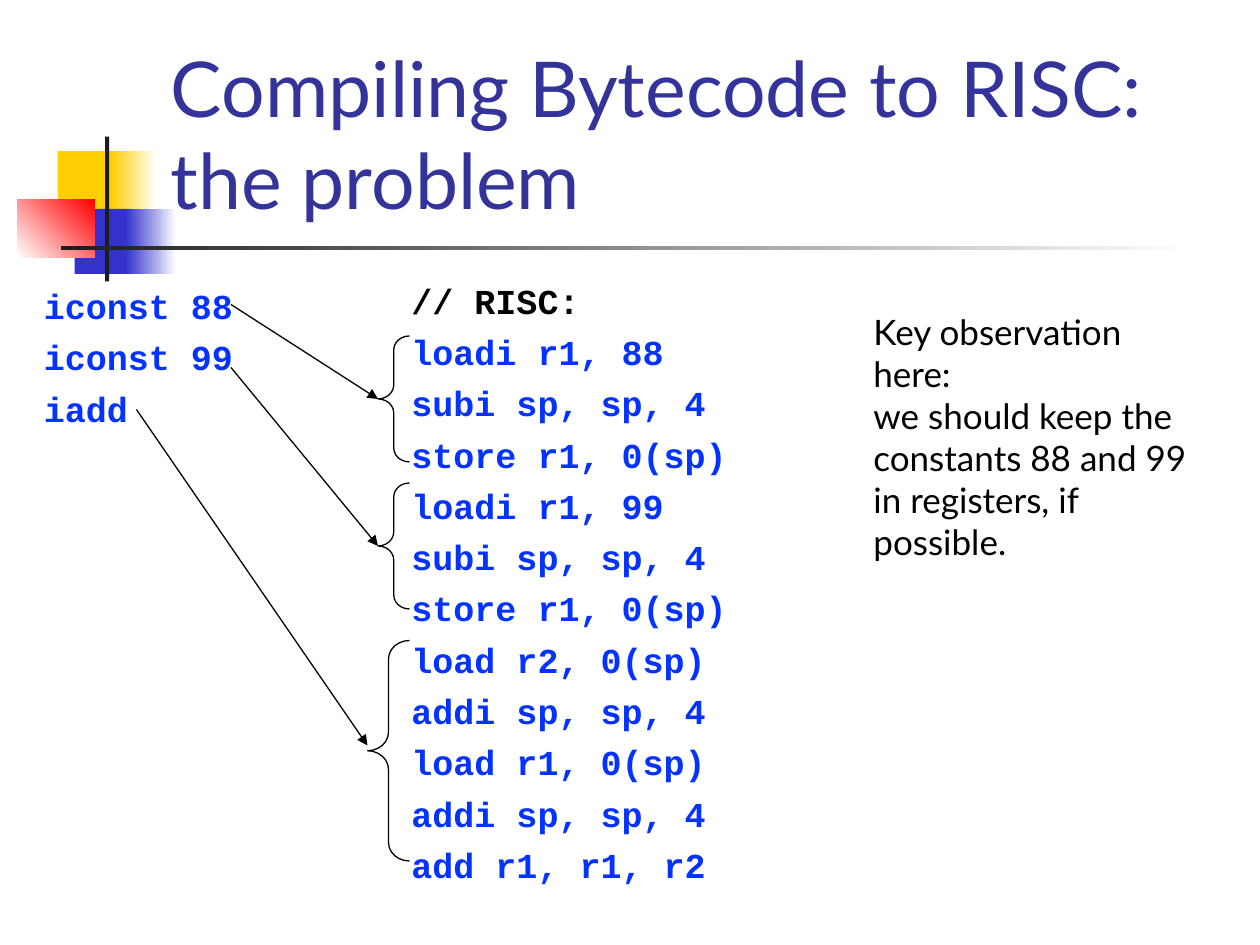
import pptx
import pptx.util
import pptx.dml.color
import pptx.enum.shapes
import pptx.enum.text
import pptx.oxml.ns
import lxml.etree
from dataclasses import dataclass

WIDE, HIGH = pptx.util.Inches(10), pptx.util.Inches(7.5)
COLS, ROWS = 120, 90  # grid cells of 1/12 inch
BLACK, BLUE, NAVY, DARK = "000000", "0432FF", "333399", "1C1C1C"
GOLD, ROYAL, RED, WHITE = "FFCF01", "3333CC", "FF0000", "FFFFFF"
KINDS = pptx.enum.shapes.MSO_SHAPE


@dataclass
class Box:
    col: float
    row: float
    cols: float
    rows: float

    def place(self) -> tuple:
        return across(self.col), down(self.row), across(self.cols), down(self.rows)


@dataclass
class Bar:
    box: Box
    start: str
    end: str = ""  # a second colour makes a gradient
    angle: float = 0


@dataclass
class Link:
    col: float
    row: float
    brace: Box  # the arrow ends at the left edge of the brace
    end: float
    bend: float = 0.44


def across(cols: float) -> int:
    return round(WIDE * cols / COLS)


def down(rows: float) -> int:
    return round(HIGH * rows / ROWS)


def tint(code: str) -> pptx.dml.color.RGBColor:
    return pptx.dml.color.RGBColor.from_string(code)


def draw_bar(slide, bar: Bar) -> None:
    shape = slide.shapes.add_shape(KINDS.RECTANGLE, *bar.box.place())
    shape.shadow.inherit = False
    shape.line.fill.background()
    if bar.end:
        shape.fill.gradient()
        shape.fill.gradient_angle = bar.angle
        for stop, code in zip(shape.fill.gradient_stops, (bar.start, bar.end)):
            stop.color.rgb = tint(code)
    else:
        shape.fill.solid()
        shape.fill.fore_color.rgb = tint(bar.start)


def draw_text(slide, box: Box, lines: list[tuple[str, str]], font: str = "Lato",
              size: float = 20, code: bool = False, low: bool = False) -> None:
    frame = slide.shapes.add_textbox(*box.place()).text_frame
    frame.word_wrap = True
    if low:
        frame.vertical_anchor = pptx.enum.text.MSO_ANCHOR.BOTTOM
    for i, (text, color) in enumerate(lines):
        para = frame.add_paragraph() if i else frame.paragraphs[0]
        para.text = text
        para.font.name, para.font.size = font, pptx.util.Pt(size)
        para.font.bold = code
        para.font.color.rgb = tint(color)
        if code:
            para.space_before = pptx.util.Pt(5.3)
            props = para._p.get_or_add_pPr()
            props.set("marL", str(across(4.5)))
            props.set("indent", str(-across(4.5)))


def draw_code(slide, box: Box, lines: list[tuple[str, str]]) -> None:
    draw_text(slide, box, lines, font="Courier New", code=True)


def draw_link(slide, link: Link) -> None:
    brace = slide.shapes.add_shape(KINDS.LEFT_BRACE, *link.brace.place())
    brace.shadow.inherit = False
    brace.fill.background()
    brace.adjustments[0] = link.bend
    arrow = slide.shapes.add_connector(
        pptx.enum.shapes.MSO_CONNECTOR.STRAIGHT, across(link.col), down(link.row),
        across(link.brace.col), down(link.end))
    for item in (brace, arrow):
        item.line.color.rgb = tint(BLACK)
        item.line.width = pptx.util.Pt(0.75)
    name = pptx.oxml.ns.qn
    tip = lxml.etree.SubElement(arrow.line._get_or_add_ln(), name("a:tailEnd"))
    tip.set("type", "triangle")
    lxml.etree.SubElement(arrow._element.spPr, name("a:effectLst"))


BARS = [
    Bar(Box(5.5, 14.4, 5.8, 6.2), GOLD),
    Bar(Box(10.6, 14.4, 4.3, 6.2), GOLD, WHITE),
    Bar(Box(7.1, 19.9, 5.5, 6.2), ROYAL),
    Bar(Box(12, 19.9, 4.8, 6.2), ROYAL, WHITE),
    Bar(Box(1.65, 19, 7.35, 5.5), WHITE, RED, 45),
    Bar(Box(10, 13, 0.4, 13.8), DARK),
    Bar(Box(5.8, 23.4, 108, 0.4), DARK, WHITE),
]
LINKS = [
    Link(22, 29, Box(36, 32, 3, 12), 38),
    Link(22, 35, Box(36, 46, 3, 12), 52),
    Link(13, 39, Box(35, 61, 4, 21), 71),
]
BYTES = ["iconst 88", "iconst 99", "iadd"]
PUSH = ["subi sp, sp, 4", "store r1, 0(sp)"]
RISC = ["loadi r1, 88", *PUSH, "loadi r1, 99", *PUSH,
        "load r2, 0(sp)", "addi sp, sp, 4",
        "load r1, 0(sp)", "addi sp, sp, 4", "add r1, r1, r2"]
NOTE = ["Key observation here:",
        "we should keep the constants 88 and 99 in registers, if possible."]


def main() -> None:
    deck = pptx.Presentation()
    deck.slide_width, deck.slide_height = WIDE, HIGH
    slide = deck.slides.add_slide(deck.slide_layouts[6])

    # Corner ornament and title
    for bar in BARS:
        draw_bar(slide, bar)
    draw_text(slide, Box(15.1, 2.8, 102.2, 19.2),
              [("Compiling Bytecode to RISC: the problem", NAVY)], size=44, low=True)

    # Bytecode, its RISC code and the remark
    draw_code(slide, Box(3, 26.5, 30, 54), [(line, BLUE) for line in BYTES])
    draw_code(slide, Box(38, 26, 38, 54),
              [("// RISC:", BLACK)] + [(line, BLUE) for line in RISC])
    draw_text(slide, Box(82, 29, 34, 21.4), [(line, BLACK) for line in NOTE])

    # Arrows from each bytecode to its block
    for link in LINKS:
        draw_link(slide, link)
    deck.save("out.pptx")


if __name__ == "__main__":
    main()
